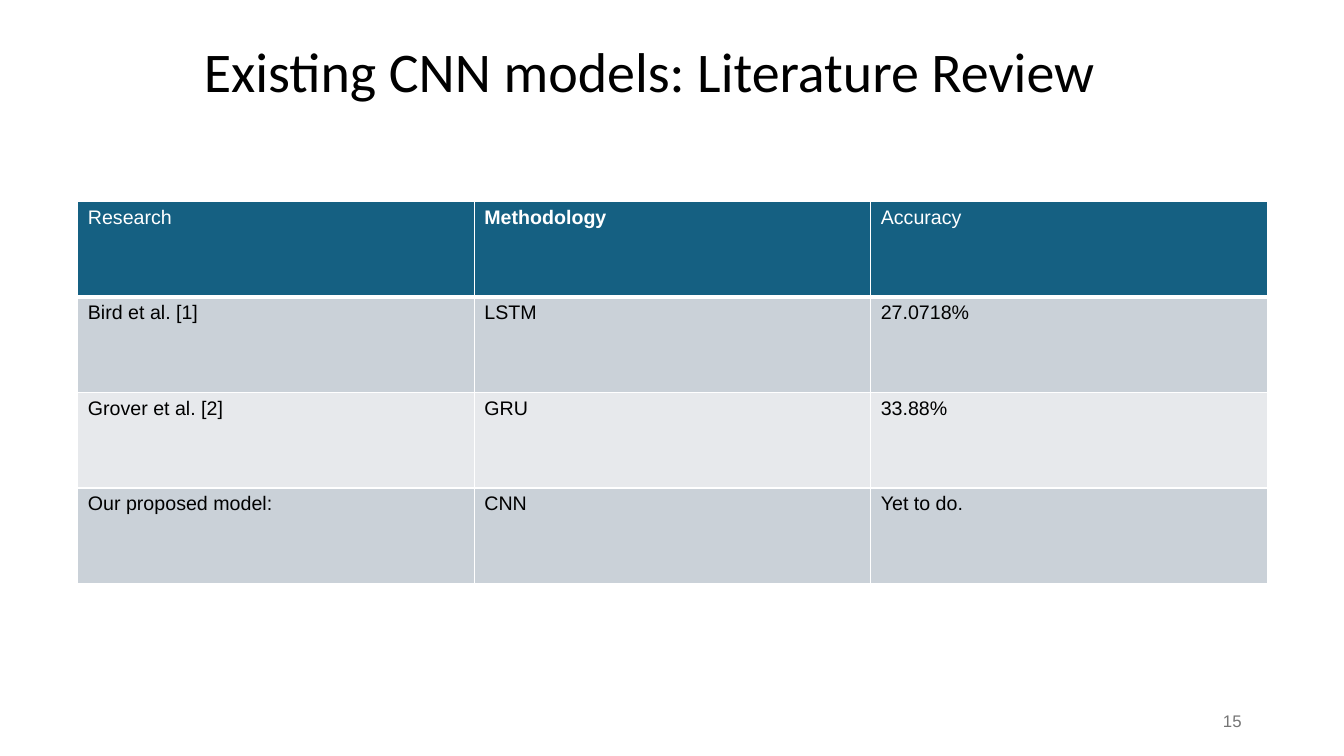
from lxml.etree import SubElement as Sub
from pptx import Presentation
from pptx.dml.color import RGBColor
from pptx.enum.text import MSO_ANCHOR as Anchor, PP_ALIGN as Align
from pptx.oxml.ns import qn
from pptx.util import Pt

TITLE = "Existing CNN models: Literature Review"
ROWS = [
    ("Research", "Methodology", "Accuracy"),
    ("Bird et al. [1]", "LSTM", "27.0718%"),
    ("Grover et al. [2]", "GRU", "33.88%"),
    ("Our proposed model:", "CNN", "Yet to do."),
]
BOLD = "Methodology"
PAGE = "15"

BLACK = RGBColor(0x00, 0x00, 0x00)
WHITE = RGBColor(0xFF, 0xFF, 0xFF)
GREY = RGBColor(0x75, 0x75, 0x75)
TEAL = RGBColor(0x15, 0x60, 0x82)
BANDS = [RGBColor(0xE7, 0xE9, 0xEC), RGBColor(0xCA, 0xD1, 0xD8)]

COL_W, ROW_H = Pt(283.2), Pt(68.22)


def write(frame, text, size, color, font="Arial", align=Align.LEFT, bold=False):
    frame.text = text
    para = frame.paragraphs[0]
    para.alignment = align
    face = para.runs[0].font
    face.name, face.size, face.bold = font, Pt(size), bold
    face.color.rgb = color


def edge(cell, side, width):
    """Draw a white border on one side of a cell."""
    props = cell._tc.get_or_add_tcPr()
    line = Sub(props, qn(f"a:ln{side}"), w=str(Pt(width)))
    fill = Sub(line, qn("a:solidFill"))
    Sub(fill, qn("a:srgbClr"), val=str(WHITE))


def add_title(slide):
    title = slide.shapes.title
    title.left, title.top = Pt(43.2), Pt(22.3)
    title.width, title.height = Pt(841), Pt(59)
    frame = title.text_frame
    write(frame, TITLE, 40, BLACK, "Calibri", Align.CENTER)
    frame.vertical_anchor = Anchor.TOP
    frame.word_wrap = True


def add_review(slide):
    rows, cols = len(ROWS), len(ROWS[0])
    table = slide.shapes.add_table(
        rows, cols, Pt(55.6), Pt(144), COL_W * cols, ROW_H * rows).table
    for col in table.columns:
        col.width = COL_W
    for r, row in enumerate(ROWS):
        table.rows[r].height = ROW_H
        for c, text in enumerate(row):
            cell = table.cell(r, c)
            for side in "LRTB":
                thick = (r, side) in [(0, "B"), (1, "T")]
                edge(cell, side, 3 if thick else 1)
            cell.fill.solid()
            cell.fill.fore_color.rgb = BANDS[r % 2] if r else TEAL
            write(cell.text_frame, text, 14, BLACK if r else WHITE,
                  bold=text == BOLD)


def add_page(slide):
    box = slide.shapes.add_textbox(Pt(678), Pt(500.5), Pt(216), Pt(28.75))
    frame = box.text_frame
    frame.word_wrap = True
    frame.vertical_anchor = Anchor.MIDDLE
    write(frame, PAGE, 12, GREY, align=Align.RIGHT)


def main():
    deck = Presentation()
    deck.slide_width, deck.slide_height = Pt(960), Pt(540)
    slide = deck.slides.add_slide(deck.slide_layouts[5])
    add_title(slide)
    add_review(slide)
    add_page(slide)
    deck.save("out.pptx")


if __name__ == "__main__":
    main()
